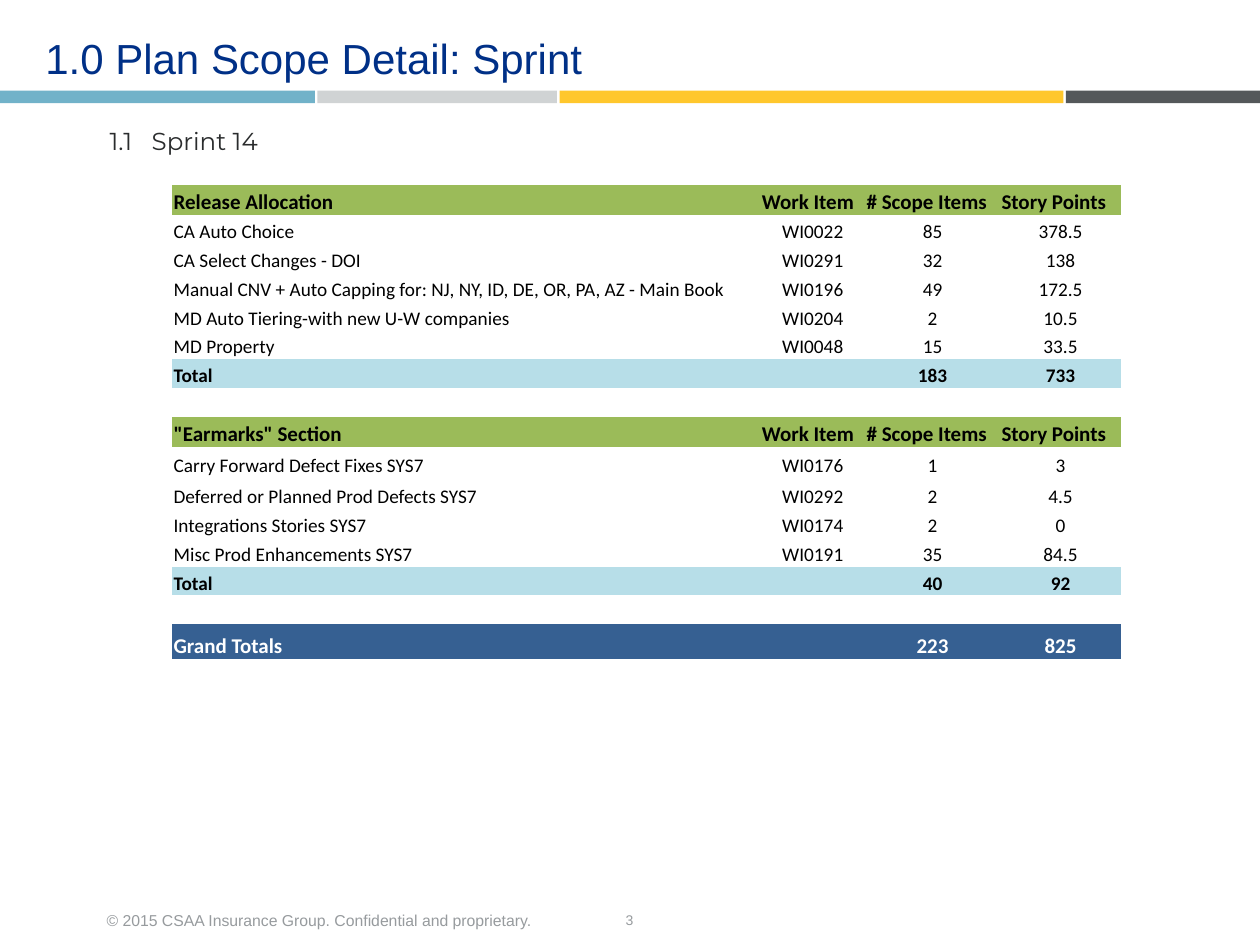
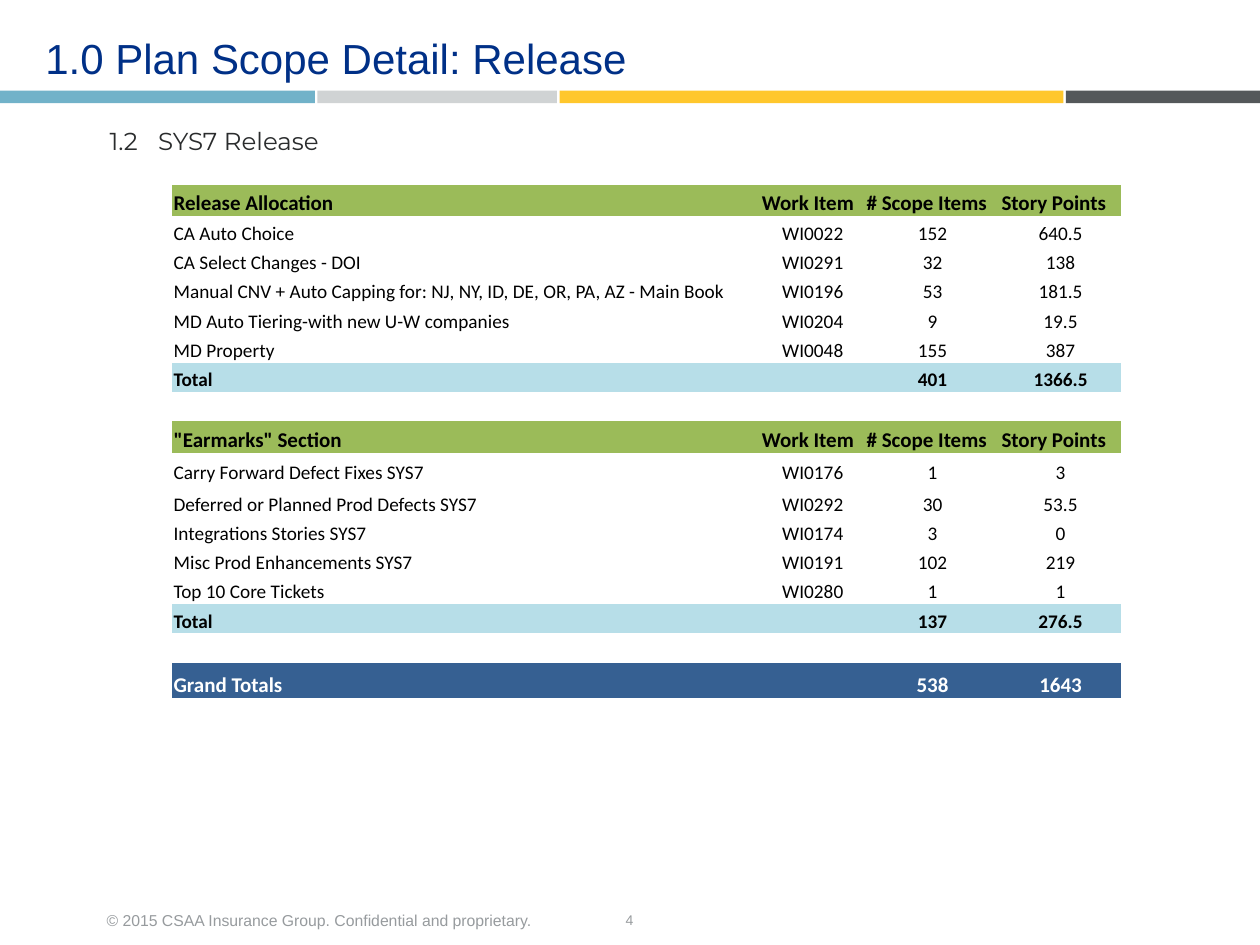
from itertools import chain

from lxml import etree
from pptx import Presentation
from pptx.dml.color import RGBColor
from pptx.enum.shapes import MSO_SHAPE
from pptx.enum.text import MSO_ANCHOR, MSO_AUTO_SIZE, PP_ALIGN
from pptx.oxml.ns import qn
from pptx.util import Cm, Pt

RECT = MSO_SHAPE.RECTANGLE
LEFT, CENTER = PP_ALIGN.LEFT, PP_ALIGN.CENTER
TOP, MIDDLE, BOTTOM = MSO_ANCHOR.TOP, MSO_ANCHOR.MIDDLE, MSO_ANCHOR.BOTTOM
NO_FIT = MSO_AUTO_SIZE.NONE

# Shared look
NAVY, INK, GREY = "003087", "2A2C2D", "979B9E"
BLACK, WHITE = "000000", "FFFFFF"
GREEN, PALE_BLUE, DEEP_BLUE = "9BBB59", "B7DEE8", "366092"
BANDS = [(6.35, "71B2C9"), (4.83, "D0D3D4"), (10.16, "FFC72C"), (3.91, "54585A")]
BAND_GAP = 0.05
TITLE_BOX = (0.66, 0, 21.59, 2.46)
BAND_BOX = (0, 1.83, 25.4, 0.25)
HEADING_BOX = (2.21, 2.49, 20.32, 0.64)
COPYRIGHT_BOX = (1.9, 18.17, 10.06, 0.71)
NUMBER_BOX = (9.73, 18.16, 5.92, 0.76)
COPYRIGHT = "© 2015 CSAA Insurance Group. Confidential and proprietary."
NO_GRID_STYLE = "{2D5ABB26-0587-4C30-8999-92F81FD0307C}"

# Table content
TABLE_LEFT, TABLE_TOP = 3.47, 3.72
COLUMN_WIDTHS = [11.86, 2.11, 2.72, 2.44]
COLUMN_HEADS = ["Work Item", "# Scope Items", "Story Points"]
RELEASE_ITEMS = [
    ("CA Auto Choice", "WI0022"),
    ("CA Select Changes - DOI", "WI0291"),
    ("Manual CNV + Auto Capping for: NJ, NY, ID, DE, OR, PA, AZ - Main Book", "WI0196"),
    ("MD Auto Tiering-with new U-W companies", "WI0204"),
    ("MD Property", "WI0048"),
]
EARMARK_ITEMS = [
    ("Carry Forward Defect Fixes SYS7", "WI0176"),
    ("Deferred or Planned Prod Defects SYS7", "WI0292"),
    ("Integrations Stories SYS7", "WI0174"),
    ("Misc Prod Enhancements SYS7", "WI0191"),
    ("Top 10 Core Tickets", "WI0280"),
]
# Row kind: fill, text colour, size, bold
ROW_STYLES = {
    "head": (GREEN, BLACK, 12, True),
    "item": (None, BLACK, 11, False),
    "tall item": (None, BLACK, 11, False),
    "total": (PALE_BLUE, BLACK, 11, True),
    "gap": (None, BLACK, 11, False),
    "grand": (DEEP_BLUE, WHITE, 12, True),
}

# Each value pair is (scope items, story points)
SCOPES = [
    dict(
        number=3, title="1.0 Plan Scope Detail: Sprint",
        heading="1.1\tSprint 14", tab=0.85,
        release=[(85, 378.5), (32, 138), (49, 172.5), (2, 10.5), (15, 33.5)],
        earmarks=[(1, 3), (2, 4.5), (2, 0), (35, 84.5)],
        row=0.58, tall=0.62,
    ),
    dict(
        number=4, title="1.0 Plan Scope Detail: Release",
        heading="1.2\tSYS7 Release", tab=0.98,
        release=[(152, 640.5), (32, 138), (53, 181.5), (9, 19.5), (155, 387)],
        earmarks=[(1, 3), (30, 53.5), (3, 0), (102, 219), (1, 1)],
        row=0.59, tall=0.64,
    ),
]
GRAND_HEIGHT = 0.71


def rgb(value):
    return RGBColor.from_string(value)


def style(paragraph, font, size, color, align=LEFT, bold=False, spacing=None):
    paragraph.alignment = align
    if spacing:
        paragraph.line_spacing = spacing
    paragraph.font.name = font
    paragraph.font.size = Pt(size)
    paragraph.font.bold = bold
    paragraph.font.color.rgb = rgb(color)


def add_text(slide, box, text, anchor=TOP, inset=None):
    frame = slide.shapes.add_textbox(*map(Cm, box)).text_frame
    frame.word_wrap = True
    frame.vertical_anchor = anchor
    if inset is not None:
        frame.margin_left = frame.margin_right = Cm(inset)
        frame.margin_top = frame.margin_bottom = Cm(inset)
    frame.text = text
    return frame.paragraphs[0]


def add_title(slide, box, text):
    title = slide.shapes.title
    title.left, title.top, title.width, title.height = map(Cm, box)
    frame = title.text_frame
    frame.text = text
    frame.word_wrap = True
    frame.auto_size = NO_FIT
    frame.vertical_anchor = MIDDLE
    style(frame.paragraphs[0], "Arial", 24, NAVY, spacing=0.9)


def add_bands(slide, box):
    left, top, _, height = box
    for width, color in BANDS:
        band = slide.shapes.add_shape(RECT, Cm(left), Cm(top), Cm(width), Cm(height))
        band.shadow.inherit = False
        band.fill.solid()
        band.fill.fore_color.rgb = rgb(color)
        band.line.fill.background()
        left += width + BAND_GAP


def add_heading(slide, box, text, tab):
    heading = add_text(slide, box, text, BOTTOM, inset=0)
    # Tab stop between the section number and its name
    stops = etree.SubElement(heading._p.get_or_add_pPr(), qn("a:tabLst"))
    etree.SubElement(stops, qn("a:tab"), pos=str(Cm(tab)), algn="l")
    style(heading, "Montserrat", 14, INK, spacing=1.06)


def add_footer(slide, number):
    style(add_text(slide, NUMBER_BOX, str(number), MIDDLE), "Arial", 8, GREY, CENTER)
    style(add_text(slide, COPYRIGHT_BOX, COPYRIGHT), "Arial", 9, GREY, spacing=1.15)


def totals(label, values):
    scope_items, points = map(sum, zip(*values))
    return [label, "", f"{scope_items:g}", f"{points:g}"]


def section_rows(name, items, values, tall_items=0):
    yield "head", [name, *COLUMN_HEADS]
    for index, ((item, code), (count, points)) in enumerate(zip(items, values)):
        kind = "tall item" if index < tall_items else "item"
        yield kind, [item, code, f"{count:g}", f"{points:g}"]
    yield "total", totals("Total", values)
    yield "gap", [""] * len(COLUMN_WIDTHS)


def fill_cell(cell, text, kind, align):
    fill, color, size, bold = ROW_STYLES[kind]
    if fill:
        cell.fill.solid()
        cell.fill.fore_color.rgb = rgb(fill)
    else:
        cell.fill.background()
    cell.margin_left = cell.margin_right = cell.margin_top = Cm(0.03)
    cell.margin_bottom = 0
    cell.vertical_anchor = BOTTOM
    cell.text = text
    paragraph = cell.text_frame.paragraphs[0]
    style(paragraph, "Calibri", size, color, align, bold)
    if not text:  # keeps empty rows low
        paragraph._p.get_or_add_endParaRPr().set("sz", str(size * 100))


def add_scope_table(slide, left, top, scope):
    release, earmarks = scope["release"], scope["earmarks"]
    rows = list(chain(
        section_rows("Release Allocation", RELEASE_ITEMS, release),
        section_rows('"Earmarks" Section', EARMARK_ITEMS, earmarks, tall_items=2),
        [("grand", totals("Grand Totals", release + earmarks))],
    ))
    special = {"head": scope["tall"], "tall item": scope["tall"], "grand": GRAND_HEIGHT}
    heights = [special.get(kind, scope["row"]) for kind, _ in rows]
    table = slide.shapes.add_table(
        len(rows), len(COLUMN_WIDTHS), Cm(left), Cm(top),
        Cm(sum(COLUMN_WIDTHS)), Cm(sum(heights))).table
    table.first_row = table.horz_banding = False
    table._tbl.tblPr.find(qn("a:tableStyleId")).text = NO_GRID_STYLE
    for column, width in zip(table.columns, COLUMN_WIDTHS):
        column.width = Cm(width)
    for row, height, (kind, texts) in zip(table.rows, heights, rows):
        row.height = Cm(height)
        for index, (cell, text) in enumerate(zip(row.cells, texts)):
            align = LEFT if index == 0 or kind == "head" else CENTER
            fill_cell(cell, text, kind, align)


def add_scope_slide(deck, scope):
    slide = deck.slides.add_slide(deck.slide_layouts.get_by_name("Title Only"))
    add_footer(slide, scope["number"])
    add_bands(slide, BAND_BOX)
    add_title(slide, TITLE_BOX, scope["title"])
    add_heading(slide, HEADING_BOX, scope["heading"], scope["tab"])
    add_scope_table(slide, TABLE_LEFT, TABLE_TOP, scope)


def main():
    deck = Presentation()
    deck.slide_width, deck.slide_height = Cm(25.4), Cm(19.05)
    for scope in SCOPES:
        add_scope_slide(deck, scope)
    deck.save("out.pptx")


if __name__ == "__main__":
    main()
